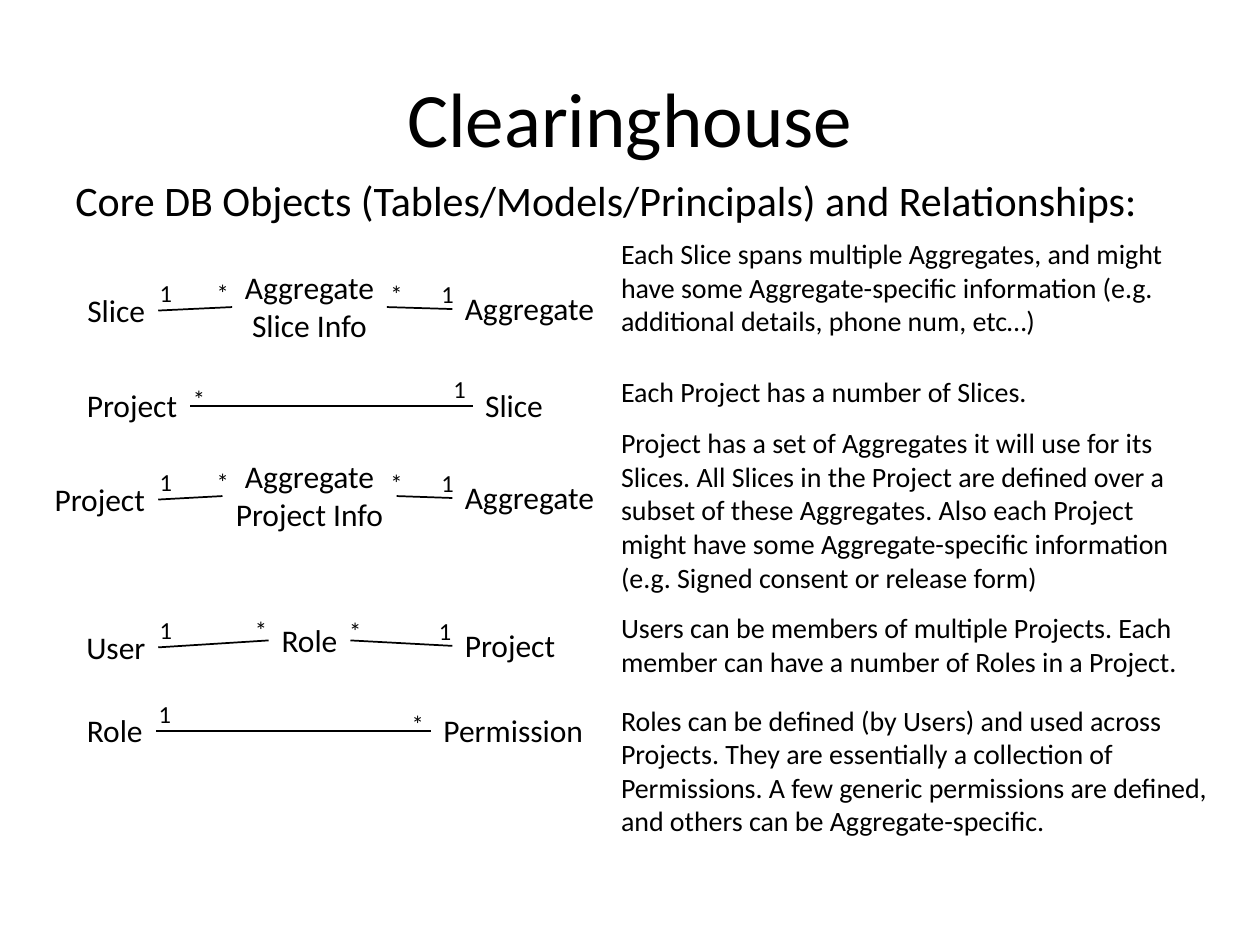
from lxml.etree import SubElement
from pptx import Presentation
from pptx.dml.color import RGBColor
from pptx.enum.shapes import MSO_CONNECTOR
from pptx.enum.text import MSO_ANCHOR, PP_ALIGN
from pptx.oxml.ns import qn
from pptx.util import Cm, Pt

BLACK = RGBColor(0, 0, 0)
FONT = "Calibri"
TERM_HEIGHT = 1.02
LABEL_HEIGHT = 0.86
TERM_WIDTHS = {
    "Slice": 1.68, "Project": 2.34, "Aggregate": 3.12, "User": 1.7,
    "Role": 1.65, "Permission": 3.33,
    "Aggregate\nSlice Info": 3.12, "Aggregate\nProject Info": 3.51,
}
LINKED_ROWS = [
    (5.28, "Slice", "Aggregate\nSlice Info", "Aggregate", 1.91, (1.15, 1.03)),
    (9.09, "Project", "Aggregate\nProject Info", "Aggregate", 1.91, (1.15, 1.03)),
    (12.07, "User", "Role", "Project", 2.74, (1.92, 1.81)),
]
DIRECT_ROWS = [
    (7.42, "Project", "Slice", 8.03, "*", "1"),
    (13.97, "Role", "Permission", 7.19, "1", "*"),
]
NOTES = [
    (4.65, 11.86, 2.29, "Each Slice spans multiple Aggregates, and might have some "
     "Aggregate-specific information (e.g. additional details, phone num, etc…)"),
    (7.42, 11.86, 0.94, "Each Project has a number of Slices."),
    (8.46, 11.86, 3.66, "Project has a set of Aggregates it will use for its Slices. "
     "All Slices in the Project are defined over a subset of these Aggregates. "
     "Also each Project might have some Aggregate-specific information "
     "(e.g. Signed consent or release form)"),
    (12.19, 11.86, 1.63, "Users can be members of multiple Projects. "
     "Each member can have a number of Roles in a Project."),
    (14.05, 12.9, 2.97, "Roles can be defined (by Users) and used across Projects. "
     "They are essentially a collection of Permissions. A few generic permissions "
     "are defined, and others can be Aggregate-specific."),
]


def write_text(shape, text, size=18, align=PP_ALIGN.LEFT, anchor=MSO_ANCHOR.TOP,
               wrap=True, tab=None):
    frame = shape.text_frame
    frame.word_wrap = wrap
    frame.vertical_anchor = anchor
    for index, line in enumerate(text.split("\n")):
        paragraph = frame.add_paragraph() if index else frame.paragraphs[0]
        paragraph.alignment = align
        if tab:
            stops = SubElement(paragraph._p.get_or_add_pPr(), qn("a:tabLst"))
            SubElement(stops, qn("a:tab"), pos=str(Cm(tab)), algn="l")
        run = paragraph.add_run()
        run.text = line
        run.font.name = FONT
        run.font.size = Pt(size)
        run.font.color.rgb = BLACK


def add_text(slide, left, top, width, height, text, **text_format):
    shape = slide.shapes.add_textbox(Cm(left), Cm(top), Cm(width), Cm(height))
    write_text(shape, text, **text_format)
    return shape


def add_term(slide, left, top, text, align=PP_ALIGN.LEFT):
    height = 1.78 if "\n" in text else TERM_HEIGHT
    add_text(slide, left, top, TERM_WIDTHS[text], height, text, align=align, wrap=False)


def add_label(slide, left, top, width, text, tab=None):
    shape = add_text(slide, left, top, width, LABEL_HEIGHT, text, size=14, tab=tab)
    shape.text_frame.margin_right = 0


def add_line(slide, start_x, start_y, end_x, end_y):
    line = slide.shapes.add_connector(
        MSO_CONNECTOR.STRAIGHT, Cm(start_x), Cm(start_y), Cm(end_x), Cm(end_y))
    line.line.color.rgb = BLACK
    line.line.width = Pt(1)
    SubElement(line._element.spPr, qn("a:effectLst"))


def add_linked_row(slide, left, top, first, link, last, label_width, tabs):
    first_right, link_center, last_left = left + 2.33, left + 5.38, left + 8.26
    link_left = link_center - TERM_WIDTHS[link] / 2
    link_right = link_center + TERM_WIDTHS[link] / 2
    link_top, line_top = (top, top + 0.91) if "\n" in link else (top + 0.33, top + 0.84)
    add_term(slide, first_right - TERM_WIDTHS[first], top + 0.46, first)
    add_term(slide, link_left, link_top, link, align=PP_ALIGN.CENTER)
    add_term(slide, last_left, top + 0.43, last)
    add_line(slide, first_right, top + 0.98, link_left, line_top)
    add_line(slide, link_right, line_top, last_left, top + 0.95)
    add_label(slide, left + 2.11, top + 0.2, label_width, "1\t*", tab=tabs[0])
    add_label(slide, left + 8.67 - label_width, top + 0.23, label_width, "*\t1", tab=tabs[1])


def add_direct_row(slide, left, top, first, last, last_offset, first_label, last_label):
    first_right = left + TERM_WIDTHS[first]
    last_left = left + last_offset
    add_term(slide, left, top + 0.24, first)
    add_term(slide, last_left, top + 0.24, last)
    add_line(slide, first_right, top + 0.76, last_left, top + 0.76)
    for label_left, label in ((first_right - 0.2, first_label), (last_left - 0.64, last_label)):
        drop = 0.2 if label == "*" else 0
        add_label(slide, label_left, top + drop, 0.84, label)


def add_heading(slide, left, top, width):
    title = slide.shapes.title
    title.left, title.top, title.width, title.height = (
        Cm(left), Cm(top), Cm(width), Cm(3.18))
    write_text(title, "Clearinghouse", size=44, align=PP_ALIGN.CENTER,
               anchor=MSO_ANCHOR.MIDDLE)
    add_text(slide, left, top + 2.64, width, 2.34,
             "Core DB Objects (Tables/Models/Principals) and Relationships:", size=24)


def add_notes_column(slide, left):
    for top, width, height, text in NOTES:
        add_text(slide, left, top, width, height, text, size=16)


def main():
    presentation = Presentation()
    presentation.slide_width = Cm(25.4)
    presentation.slide_height = Cm(19.05)
    slide = presentation.slides.add_slide(presentation.slide_layouts[5])
    add_heading(slide, 1.27, 0.76, 22.86)
    for top, *parts in LINKED_ROWS:
        add_linked_row(slide, 0.86, top, *parts)
    for top, *parts in DIRECT_ROWS:
        add_direct_row(slide, 1.5, top, *parts)
    add_notes_column(slide, 12.27)
    presentation.save("out.pptx")


if __name__ == "__main__":
    main()
